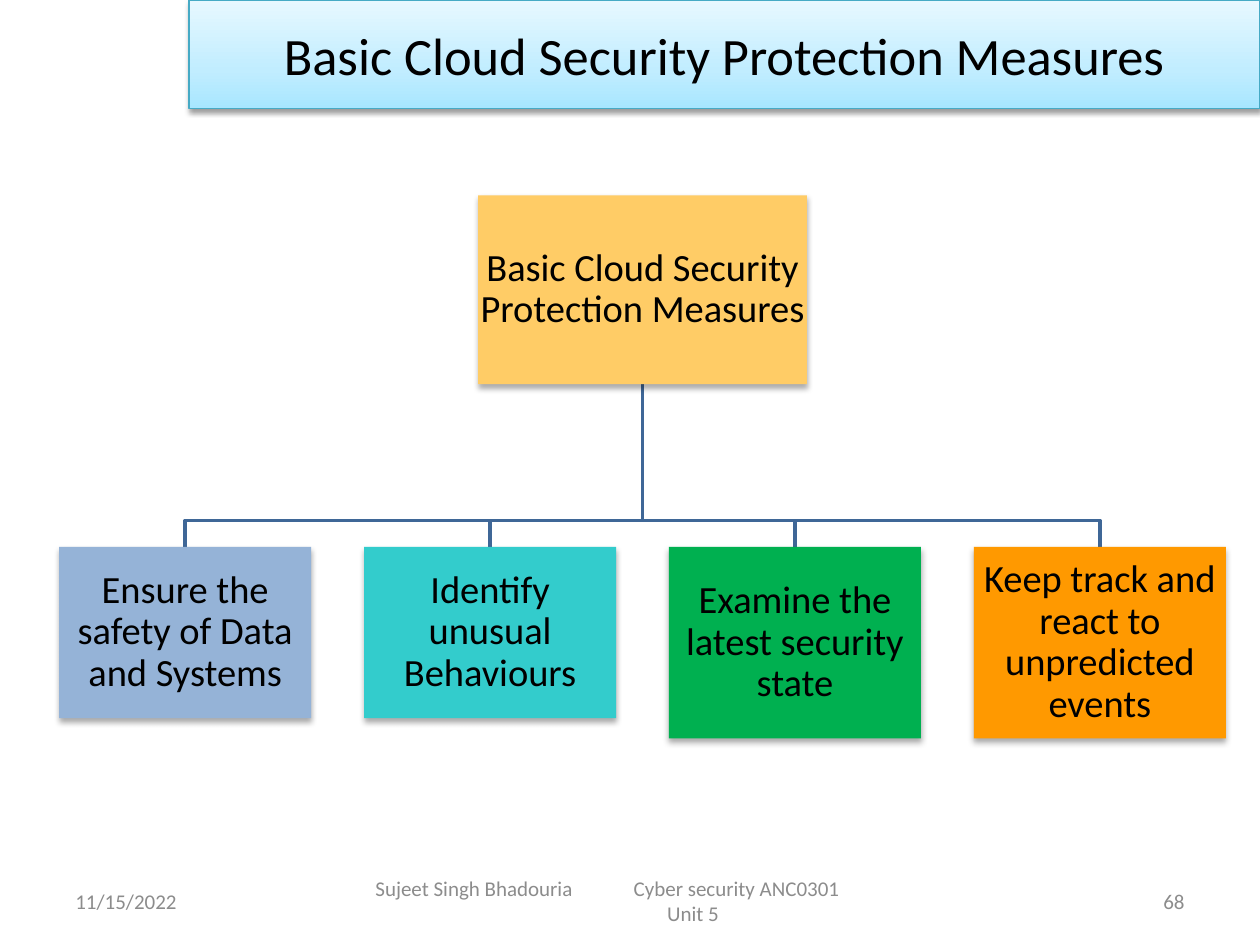
from lxml.etree import SubElement
from pptx import Presentation
from pptx.dml.color import RGBColor
from pptx.enum.shapes import MSO_SHAPE as Preset
from pptx.enum.text import MSO_ANCHOR as Anchor, MSO_AUTO_SIZE as AutoSize, PP_ALIGN as Align
from pptx.oxml.ns import qn
from pptx.util import Inches, Pt

COLORS = {
    "text": "000000", "muted": "8C8C8C", "branch": "3F6797", "banner_line": "46AAC5",
    "root": "FFCC66", "safety": "95B3D7", "identify": "33CCCC",
    "examine": "00B050", "react": "FF9900",
}
BANNER_STOPS = [(0, "A7E6FF"), (35, "C1EDFF"), (100, "E7F8FF")]
HEADING = "Basic Cloud Security Protection Measures"
MEASURES = [
    ("Ensure the safety of Data and Systems", "safety", 1.36),
    ("Identify unusual Behaviours", "identify", 1.36),
    ("Examine the latest security state", "examine", 1.52),
    ("Keep track and react to unpredicted events", "react", 1.52),
]

# Column grid of the tree, in inches
FIRST_LEFT, PITCH, CARD_WIDTH = 0.47, 2.42, 2.0
CARD_TOP, BUS_Y = 4.34, 4.13
ROOT_TOP, ROOT_WIDTH, ROOT_HEIGHT = 1.55, 2.61, 1.5
TREE_CENTER = FIRST_LEFT + (PITCH * (len(MEASURES) - 1) + CARD_WIDTH) / 2


def rgb(name):
    return RGBColor.from_string(COLORS[name])


def place(shape, left, top, width, height):
    shape.left, shape.top = Inches(left), Inches(top)
    shape.width, shape.height = Inches(width), Inches(height)


def write(paragraph, text, size=22, color="text", align=Align.CENTER, spacing=None):
    paragraph.alignment = align
    if spacing:
        paragraph.line_spacing = spacing
    run = paragraph.add_run()
    run.text = text
    run.font.name = "Calibri"
    run.font.size = Pt(size)
    run.font.color.rgb = rgb(color)


def add_shadow(shape, opacity, blur, distance):
    shape.shadow.inherit = False
    effects = shape._element.spPr.find(qn("a:effectLst"))
    shadow = SubElement(effects, qn("a:outerShdw"), blurRad=str(Pt(blur)),
                        dist=str(Pt(distance)), dir="5400000", rotWithShape="0")
    color = SubElement(shadow, qn("a:srgbClr"), val="000000")
    SubElement(color, qn("a:alpha"), val=str(opacity * 1000))


def fill_gradient(shape, stops):
    gradient = SubElement(shape._element.spPr, qn("a:gradFill"), rotWithShape="1")
    stop_list = SubElement(gradient, qn("a:gsLst"))
    for position, color in stops:
        stop = SubElement(stop_list, qn("a:gs"), pos=str(position * 1000))
        SubElement(stop, qn("a:srgbClr"), val=color)
    SubElement(gradient, qn("a:lin"), ang="16200000", scaled="0")


def format_title(slide):
    title = slide.shapes.title
    place(title, 1.5, 0, 8.5, 0.86)
    fill_gradient(title, BANNER_STOPS)
    title.line.color.rgb = rgb("banner_line")
    title.line.width = Pt(0.75)
    add_shadow(title, 38, 3.1, 1.6)
    title.text_frame.vertical_anchor = Anchor.MIDDLE
    title.text_frame.auto_size = AutoSize.NONE
    write(title.text_frame.paragraphs[0], HEADING, size=30)


def add_card(slide, text, color, left, top, width, height):
    card = slide.shapes.add_shape(Preset.RECTANGLE, 0, 0, 0, 0)
    place(card, left, top, width, height)
    card.fill.solid()
    card.fill.fore_color.rgb = rgb(color)
    card.line.fill.background()
    add_shadow(card, 32, 3.5, 2.2)
    frame = card.text_frame
    frame.word_wrap = True
    frame.vertical_anchor = Anchor.MIDDLE
    frame.margin_left = frame.margin_right = Inches(0.01)
    frame.margin_top = frame.margin_bottom = Inches(0.02)
    write(frame.paragraphs[0], text, spacing=0.9)


def add_branch(slide, card_center):
    """Draw the open elbow from the root card down to one measure."""
    builder = slide.shapes.build_freeform(
        Inches(TREE_CENTER), Inches(ROOT_TOP + ROOT_HEIGHT))
    corners = [(TREE_CENTER, BUS_Y), (card_center, BUS_Y), (card_center, CARD_TOP)]
    builder.add_line_segments([(Inches(x), Inches(y)) for x, y in corners], close=False)
    branch = builder.convert_to_shape()
    branch.fill.background()
    branch.line.color.rgb = rgb("branch")
    branch.line.width = Pt(2)
    branch.shadow.inherit = False


def add_footer(slide, left, width, text, align, margin=0.1):
    box = slide.shapes.add_textbox(0, 0, 0, 0)
    place(box, left, 6.95, width, 0.4)
    frame = box.text_frame
    frame.word_wrap = True
    frame.vertical_anchor = Anchor.MIDDLE
    frame.margin_left = frame.margin_right = Inches(margin)
    write(frame.paragraphs[0], text, size=12, color="muted", align=align)
    return frame


def add_course_footer(slide):
    frame = add_footer(slide, 2.75, 5.5, "Sujeet Singh Bhadouria\tCyber security ANC0301",
                       Align.LEFT, margin=0.23)
    tabs = SubElement(frame.paragraphs[0]._p.get_or_add_pPr(), qn("a:tabLst"))
    SubElement(tabs, qn("a:tab"), pos=str(Inches(2.05)), algn="l")
    write(frame.add_paragraph(), "Unit 5", size=12, color="muted")


def main():
    presentation = Presentation()
    presentation.slide_width, presentation.slide_height = Inches(10), Inches(7.5)
    slide = presentation.slides.add_slide(presentation.slide_layouts[5])

    # Footer row and title banner
    add_footer(slide, 0.5, 2.33, "11/15/2022", Align.LEFT)
    add_course_footer(slide)
    add_footer(slide, 7.17, 2.33, "68", Align.RIGHT)
    format_title(slide)

    # Tree: branches behind, then the root and its measures
    lefts = [FIRST_LEFT + PITCH * column for column in range(len(MEASURES))]
    for left in lefts:
        add_branch(slide, left + CARD_WIDTH / 2)
    add_card(slide, HEADING, "root", TREE_CENTER - ROOT_WIDTH / 2, ROOT_TOP,
             ROOT_WIDTH, ROOT_HEIGHT)
    for left, (text, color, height) in zip(lefts, MEASURES):
        add_card(slide, text, color, left, CARD_TOP, CARD_WIDTH, height)

    presentation.save("out.pptx")


if __name__ == "__main__":
    main()
